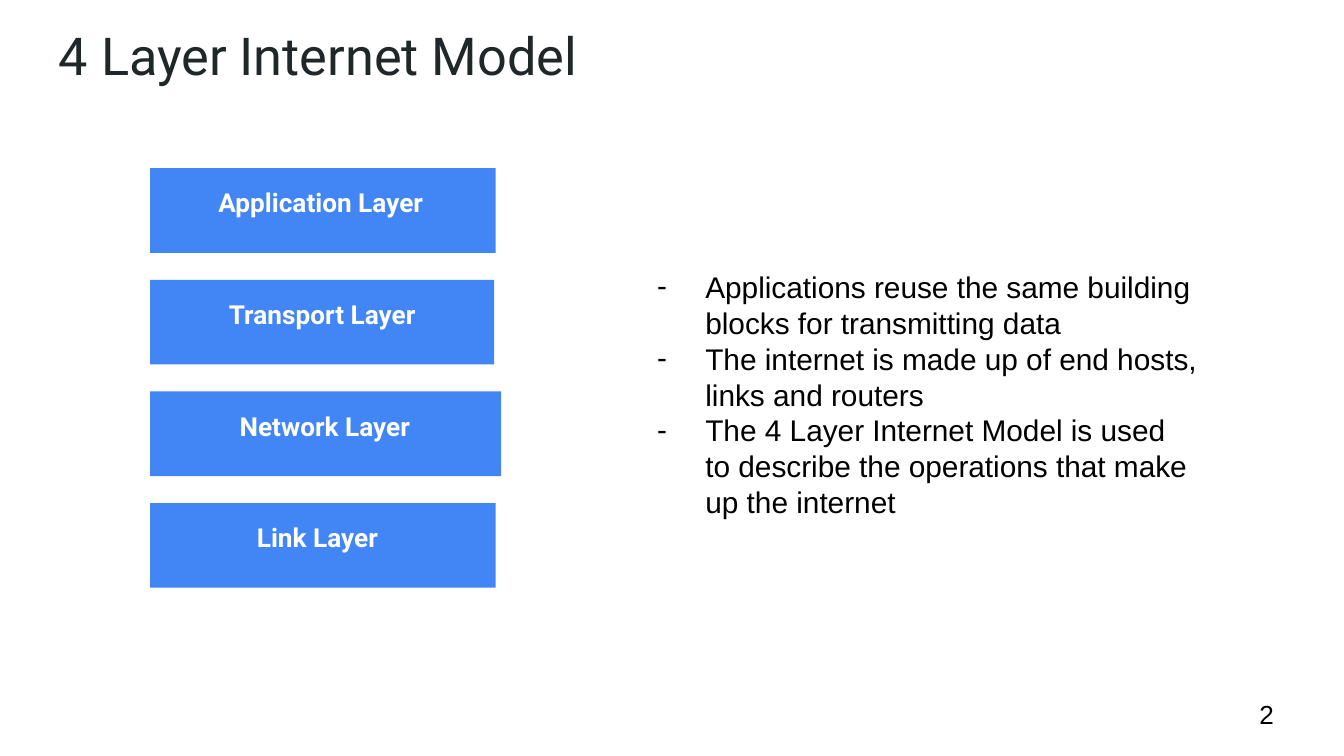
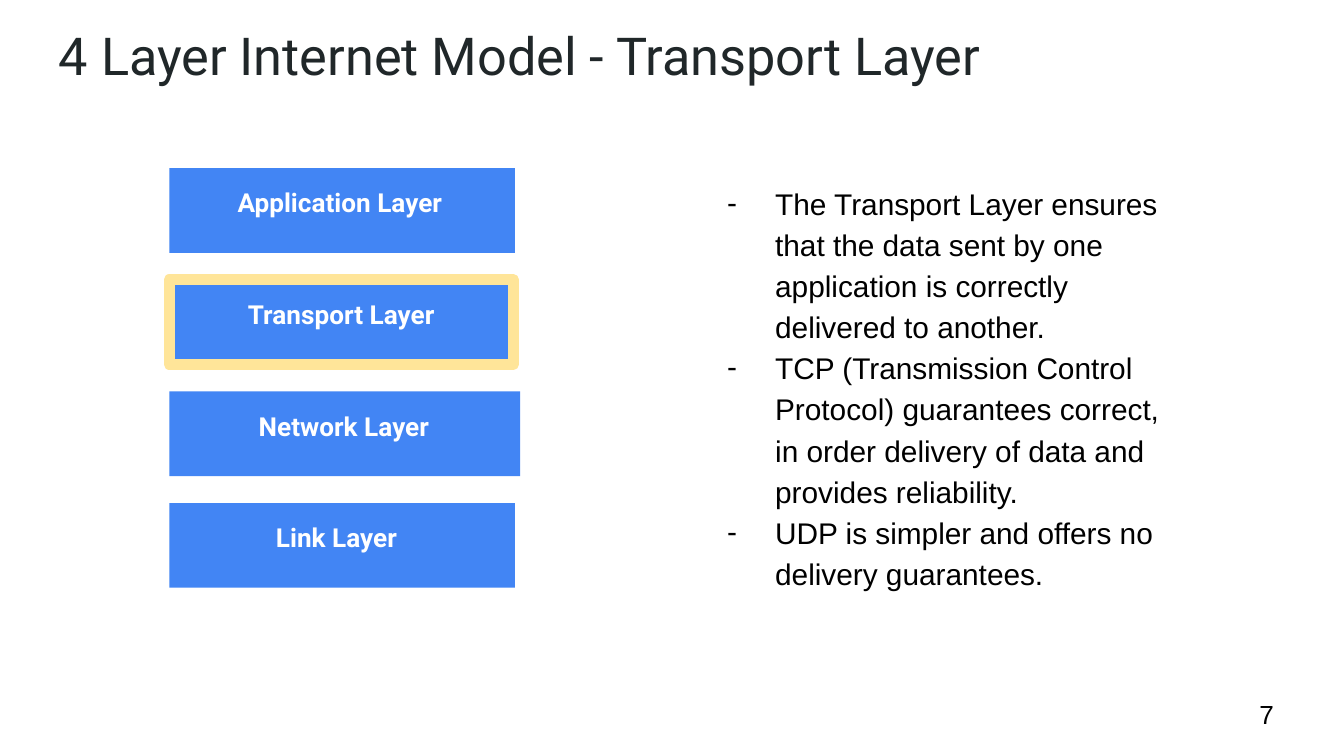
from lxml import etree
from pptx import Presentation
from pptx import util as u
from pptx.dml.color import RGBColor
from pptx.enum import shapes, text
from pptx.oxml import ns

WHITE = RGBColor(0xFF, 0xFF, 0xFF)
BLACK = RGBColor(0x00, 0x00, 0x00)
INK = RGBColor(0x20, 0x27, 0x29)
BLUE = RGBColor(0x42, 0x85, 0xF4)
YELLOW = RGBColor(0xFF, 0xE5, 0x99)

HEADING_FONT = "Roboto"
BODY_FONT = "Arial"

LAYERS = [
    dict(name="Application Layer", width=6.53, label_offset=0.23, label_width=5.99),
    dict(name="Transport Layer", width=6.5, label_offset=0.52, label_width=5.46),
    dict(name="Network Layer", width=6.63, label_offset=0.53, label_width=5.54),
    dict(name="Link Layer", width=6.53, label_offset=0.33, label_width=5.66),
]
STACK_TOP = 3.18
LAYER_PITCH = 2.11
LAYER_HEIGHT = 1.6


class Deck:
    def __init__(self):
        self.presentation = Presentation()
        self.presentation.slide_width = u.Cm(25.4)
        self.presentation.slide_height = u.Cm(14.29)
        self.slide = None

    def new_slide(self, title, number):
        layout = self.presentation.slide_layouts.get_by_name("Title and Content")
        self.slide = self.presentation.slides.add_slide(layout)
        self.place(self.slide.shapes.title, 0.86, 0.18, 23.67, 1.6)
        self.set_text(self.slide.shapes.title, [title], 28, HEADING_FONT, INK)
        page = self.slide.shapes.add_textbox(*map(u.Cm, (23.55, 12.95, 1.52, 1.09)))
        self.set_text(page, [str(number)], 14, BODY_FONT, BLACK)
        page.text_frame.vertical_anchor = text.MSO_ANCHOR.MIDDLE

    def place(self, shape, left, top, width, height):
        shape.left, shape.top = u.Cm(left), u.Cm(top)
        shape.width, shape.height = u.Cm(width), u.Cm(height)

    def set_text(self, shape, lines, size, font, color, bold=False,
                 align=text.PP_ALIGN.LEFT, line_spacing=1.0):
        frame = shape.text_frame
        frame.text = "\n".join(lines)
        frame.word_wrap = True
        frame.auto_size = text.MSO_AUTO_SIZE.NONE
        frame.vertical_anchor = text.MSO_ANCHOR.TOP
        frame.margin_left = frame.margin_right = u.Cm(0.25)
        frame.margin_top = frame.margin_bottom = u.Cm(0.25)
        for paragraph in frame.paragraphs:
            paragraph.alignment = align
            paragraph.line_spacing = line_spacing
            paragraph.space_before = u.Pt(0)
            paragraph.font.size = u.Pt(size)
            paragraph.font.name = font
            paragraph.font.bold = bold
            paragraph.font.color.rgb = color

    def dash_list(self, items, left, top, width, height, line_spacing=1.0):
        body = self.slide.placeholders[1]
        self.place(body, left, top, width, height)
        self.set_text(body, items, 16, BODY_FONT, BLACK, line_spacing=line_spacing)
        for paragraph in body.text_frame.paragraphs:
            properties = paragraph._p.get_or_add_pPr()
            properties.set("marL", str(u.Cm(1.27)))
            properties.set("indent", str(u.Cm(-0.91)))
            bullet = etree.Element(ns.qn("a:buChar"), char="-")
            properties.find(ns.qn("a:defRPr")).addprevious(bullet)

    def layer(self, left, top, name, width, label_offset, label_width, highlighted):
        group = self.slide.shapes.add_group_shape()
        box = group.shapes.add_shape(
            shapes.MSO_SHAPE.SNIP_1_RECTANGLE,
            *map(u.Cm, (left, top, width, LAYER_HEIGHT)))
        box.adjustments[0] = 0
        box.shadow.inherit = False
        box.fill.solid()
        box.fill.fore_color.rgb = BLUE
        if highlighted:
            box.line.color.rgb = YELLOW
            box.line.width = u.Pt(6)
        else:
            box.line.fill.background()
        label = group.shapes.add_textbox(
            *map(u.Cm, (left + label_offset, top + 0.1, label_width, 1.32)))
        self.set_text(label, [name], 14, HEADING_FONT, WHITE, bold=True,
                      align=text.PP_ALIGN.CENTER)

    def layer_stack(self, left, highlight=None):
        for index, layer in enumerate(LAYERS):
            self.layer(left, STACK_TOP + index * LAYER_PITCH, **layer,
                       highlighted=layer["name"] == highlight)


def main():
    deck = Deck()

    deck.new_slide("4 Layer Internet Model", 2)
    deck.layer_stack(2.84)
    deck.dash_list([
        "Applications reuse the same building blocks for transmitting data",
        "The internet is made up of end hosts, links and routers",
        "The 4 Layer Internet Model is used to describe the operations that make up the internet",
    ], 11.81, 4.83, 11.07, 4.88)

    deck.new_slide("4 Layer Internet Model - Transport Layer", 7)
    deck.layer_stack(3.2, highlight="Transport Layer")
    deck.dash_list([
        "The Transport Layer ensures that the data sent by one application is correctly delivered to another.",
        "TCP (Transmission Control Protocol) guarantees correct, in order delivery of data and provides reliability.",
        "UDP is simpler and offers no delivery guarantees.",
    ], 13.13, 3.15, 9.09, 8, line_spacing=1.15)

    deck.presentation.save("out.pptx")


if __name__ == "__main__":
    main()
